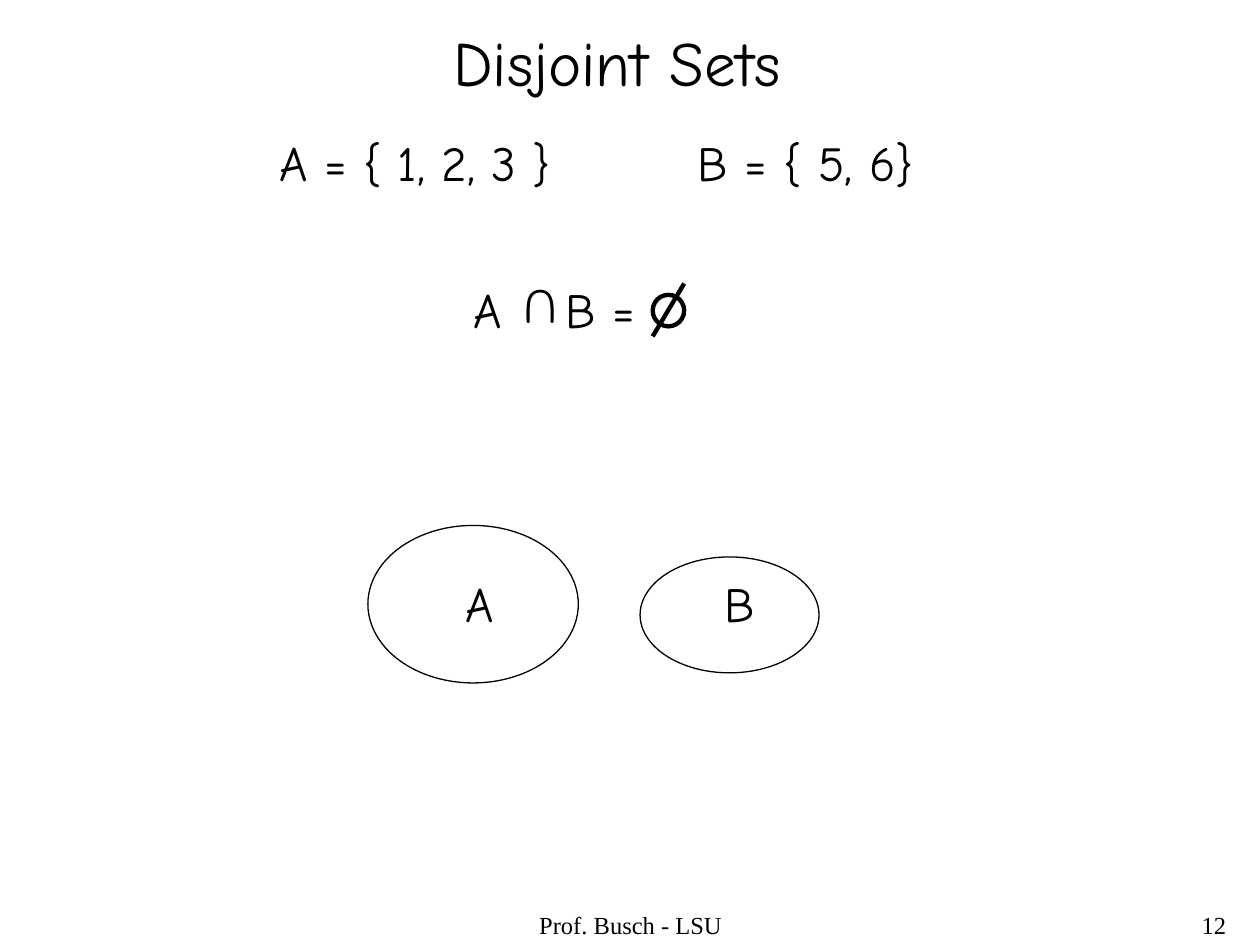
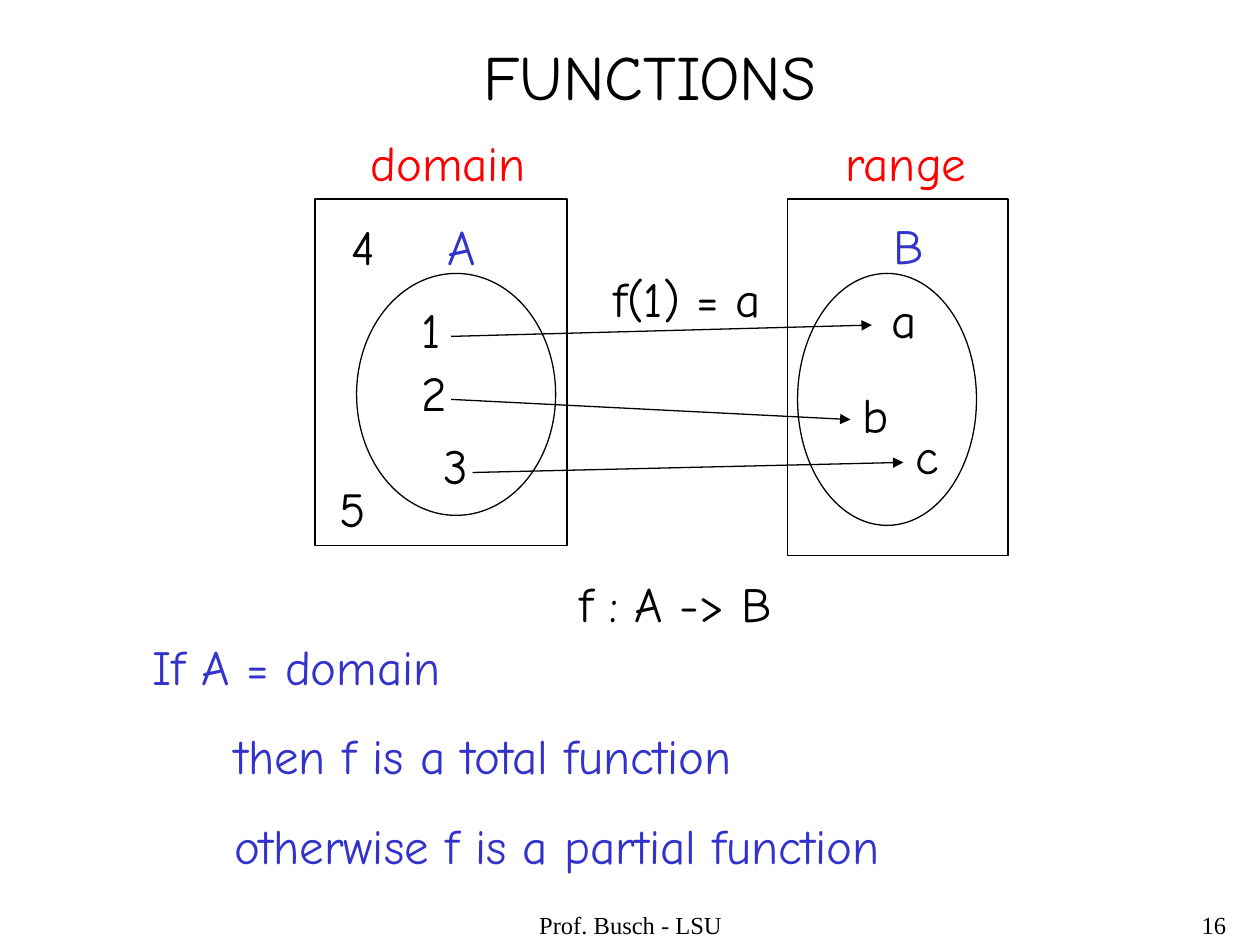
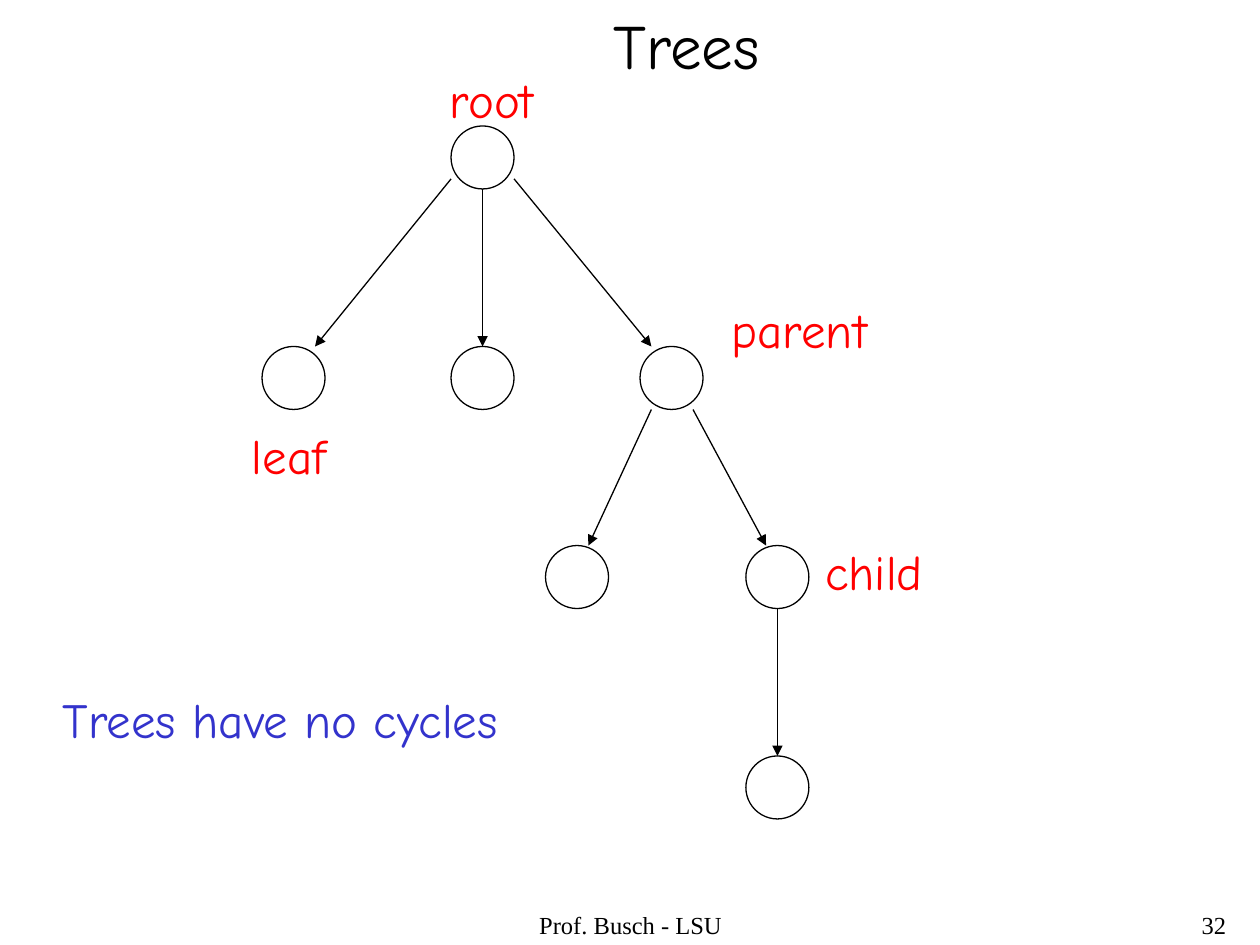
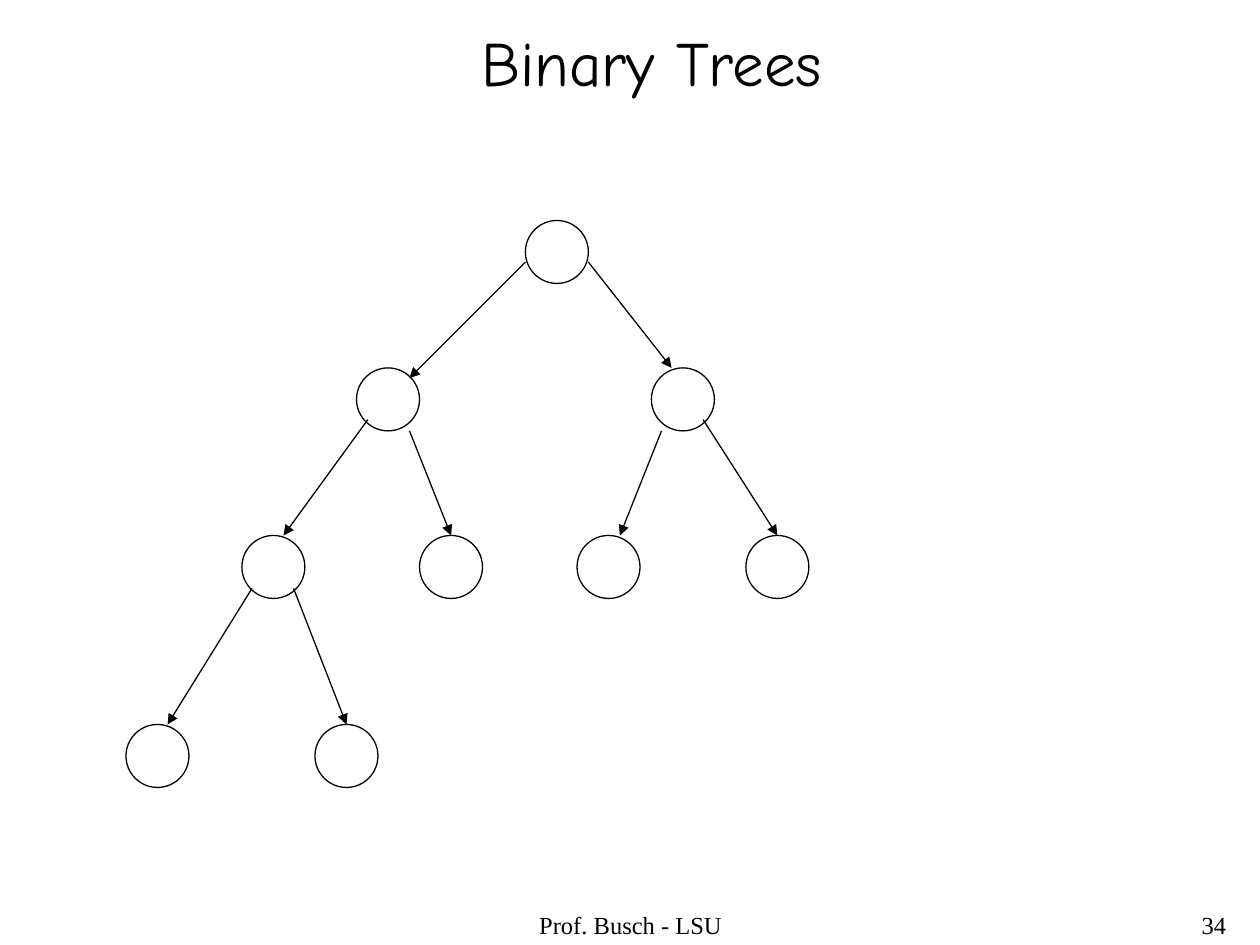
from lxml import etree
from pptx import Presentation
from pptx.dml.color import RGBColor
from pptx.enum.shapes import MSO_CONNECTOR as CONN, MSO_SHAPE as SHAPE
from pptx.enum.text import MSO_AUTO_SIZE as AUTO, PP_ALIGN as ALIGN
from pptx.oxml.ns import qn
from pptx.util import Inches, Pt

# Shared look
BLACK, RED, BLUE = "000000", "FF0000", "3333CC"
HAND, SERIF = "Comic Neue", "Times New Roman"
NODE = 0.5
SLACK = 0.02  # spare width that keeps one-line labels from breaking


def add_text(shapes, text, x, y, w, h=0.57, size=28, color=BLACK, font=HAND,
             align=ALIGN.LEFT, wrap=False, tab=None, indent=0):
    """Add a text box; paragraphs after the first are spaced and indented."""
    width = w if wrap else w + SLACK
    sp = shapes.add_textbox(Inches(x), Inches(y), Inches(width), Inches(h))
    tf = sp.text_frame
    tf.word_wrap = wrap
    tf.auto_size = AUTO.NONE if wrap else AUTO.SHAPE_TO_FIT_TEXT
    for i, line in enumerate(text.split("\n")):
        p = tf.paragraphs[0] if i == 0 else tf.add_paragraph()
        p.alignment = align
        pPr = p._p.get_or_add_pPr()
        if i > 0:
            p.space_before = Pt(17.5)
            pPr.set("marL", str(Inches(indent)))
        if tab:
            tabs = etree.SubElement(pPr, qn("a:tabLst"))
            etree.SubElement(tabs, qn("a:tab"), pos=str(Inches(tab)), algn="l")
        r = p.add_run()
        r.text = line
        r.font.size = Pt(size)
        r.font.name = font
        r.font.color.rgb = RGBColor.from_string(color)
    return sp


def add_outline(shapes, a, b, c, d, kind=None, width=0.75, arrow=False):
    """Add a hollow shape at a, b sized c, d; without a kind, a line from a, b to c, d."""
    box = [Inches(v) for v in (a, b, c, d)]
    if kind is None:
        sp = shapes.add_connector(CONN.STRAIGHT, *box)
    else:
        sp = shapes.add_shape(kind, *box)
        sp.fill.background()
    sp.line.color.rgb = RGBColor.from_string(BLACK)
    sp.line.width = Pt(width)
    if arrow:
        etree.SubElement(sp.line._get_or_add_ln(), qn("a:tailEnd"), type="triangle")
    etree.SubElement(sp._element.spPr, qn("a:effectLst"))


prs = Presentation()
prs.slide_width, prs.slide_height = Inches(10), Inches(7.5)

# Every slide: footer, number and title
slides = []
for number, title, x, y, w in [
    (12, "Disjoint Sets", 3.5, 0.14, 2.79),
    (16, "FUNCTIONS", 3.74, 0.25, 2.85),
    (32, "Trees", 4.77, 0, 1.37),
    (34, "Binary Trees", 3.72, 0.14, 2.91),
]:
    s = prs.slides.add_slide(prs.slide_layouts[6])
    footer = dict(y=7.17, h=0.33, size=14, font=SERIF, wrap=True)
    add_text(s.shapes, "Prof. Busch - LSU", 3.42, w=3.17, align=ALIGN.CENTER, **footer)
    add_text(s.shapes, str(number), 7.75, w=2.08, align=ALIGN.RIGHT, **footer)
    add_text(s.shapes, title, x, y, w, h=0.7, size=36)
    slides.append(s.shapes)
disjoint, functions, trees, binary = slides

# Disjoint sets: definitions
add_text(disjoint, "A = { 1, 2, 3 }\tB = { 5, 6}", 2.12, 1, 5.36, tab=3.32)

# Intersection formula, with a turned U and a drawn empty-set sign
formula = disjoint.add_group_shape().shapes
add_text(formula, "A\tB =", 3.66, 2.17, 1.88, tab=0.73)
cap = add_text(formula, "U", 4.02, 2.17, 0.5, wrap=True)
cap.rotation = 180
add_outline(formula, 5.18, 2.34, 0.25, 0.25, kind=SHAPE.OVAL, width=2.5)
add_outline(formula, 5.43, 2.25, 5.18, 2.67, width=2.5)

# Two separate sets
add_outline(disjoint, 2.92, 4.17, 1.67, 1.25, kind=SHAPE.OVAL)
add_outline(disjoint, 5.08, 4.42, 1.42, 0.92, kind=SHAPE.OVAL)
add_text(disjoint, "A", 3.6, 4.5, 0.42)
add_text(disjoint, "B", 5.65, 4.5, 0.44)

# Functions: sets, frames and mapping arrows
for kind, *box in [
    (SHAPE.OVAL, 2.83, 2.17, 1.58, 1.92),
    (SHAPE.OVAL, 6.33, 2.17, 1.42, 2),
    (SHAPE.RECTANGLE, 2.5, 1.58, 2, 2.75),
    (SHAPE.RECTANGLE, 6.25, 1.58, 1.75, 2.83),
]:
    add_outline(functions, *box, kind=kind)
for ends in [(3.58, 2.67, 6.92, 2.58), (3.58, 3.17, 6.75, 3.33), (3.75, 3.75, 7.17, 3.67)]:
    add_outline(functions, *ends, arrow=True)

# Functions: labels
for text, x, y, w, color in [
    ("domain", 2.84, 1, 1.43, RED),
    ("range", 6.61, 1, 1.17, RED),
    ("A", 3.45, 1.67, 0.42, BLUE),
    ("B", 6.99, 1.66, 0.44, BLUE),
    ("1", 3.25, 2.33, 0.35, BLACK),
    ("2", 3.25, 2.83, 0.4, BLACK),
    ("3", 3.42, 3.41, 0.39, BLACK),
    ("4", 2.69, 1.67, 0.39, BLACK),
    ("5", 2.6, 3.75, 0.41, BLACK),
    ("a", 6.98, 2.25, 0.4, BLACK),
    ("b", 6.75, 3, 0.41, BLACK),
    ("c", 7.17, 3.33, 0.38, BLACK),
    ("f(1) = a", 4.77, 2.08, 1.38, BLACK),
    ("f : A -> B", 4.5, 4.5, 1.87, BLACK),
]:
    add_text(functions, text, x, y, w, color=color)
add_text(functions, "If A = domain\nthen f is a total function\notherwise f is a partial function",
         1.11, 5, 6.11, h=1.99, color=BLUE, indent=0.65)

# Both trees: rows of nodes (top, lefts) and the arrows between them
tree_rows = [(1, [3.58]), (2.75, [2.08, 3.58, 5.08]), (4.33, [4.33, 5.92]), (6, [5.92])]
tree_edges = [
    (3.58, 1.42, 2.5, 2.75), (3.83, 1.5, 3.83, 2.75), (4.08, 1.42, 5.17, 2.75),
    (5.17, 3.25, 4.67, 4.33), (5.5, 3.25, 6.08, 4.33), (6.17, 4.83, 6.17, 6),
]
binary_rows = [(1.75, [4.17]), (2.92, [2.83, 5.17]),
               (4.25, [1.92, 3.33, 4.58, 5.92]), (5.75, [1, 2.5])]
binary_edges = [
    (4.17, 2.08, 3.25, 3), (4.67, 2.08, 5.33, 2.92),
    (2.92, 3.33, 2.25, 4.25), (3.25, 3.42, 3.58, 4.25),
    (5.25, 3.42, 4.92, 4.25), (5.58, 3.33, 6.17, 4.25),
    (2, 4.67, 1.33, 5.75), (2.33, 4.67, 2.75, 5.75),
]
for shapes, rows, edges in [(trees, tree_rows, tree_edges), (binary, binary_rows, binary_edges)]:
    for top, lefts in rows:
        for left in lefts:
            add_outline(shapes, left, top, NODE, NODE, kind=SHAPE.OVAL)
    for ends in edges:
        add_outline(shapes, *ends, arrow=True)

# Trees: labels
for text, x, y, w in [
    ("root", 3.47, 0.5, 0.87),
    ("leaf", 1.9, 3.33, 0.79),
    ("parent", 5.71, 2.33, 1.28),
    ("child", 6.45, 4.25, 0.97),
]:
    add_text(trees, text, x, y, w, color=RED)
add_text(trees, "Trees have no cycles", 0.4, 5.42, 3.67, color=BLUE)

prs.save("out.pptx")
